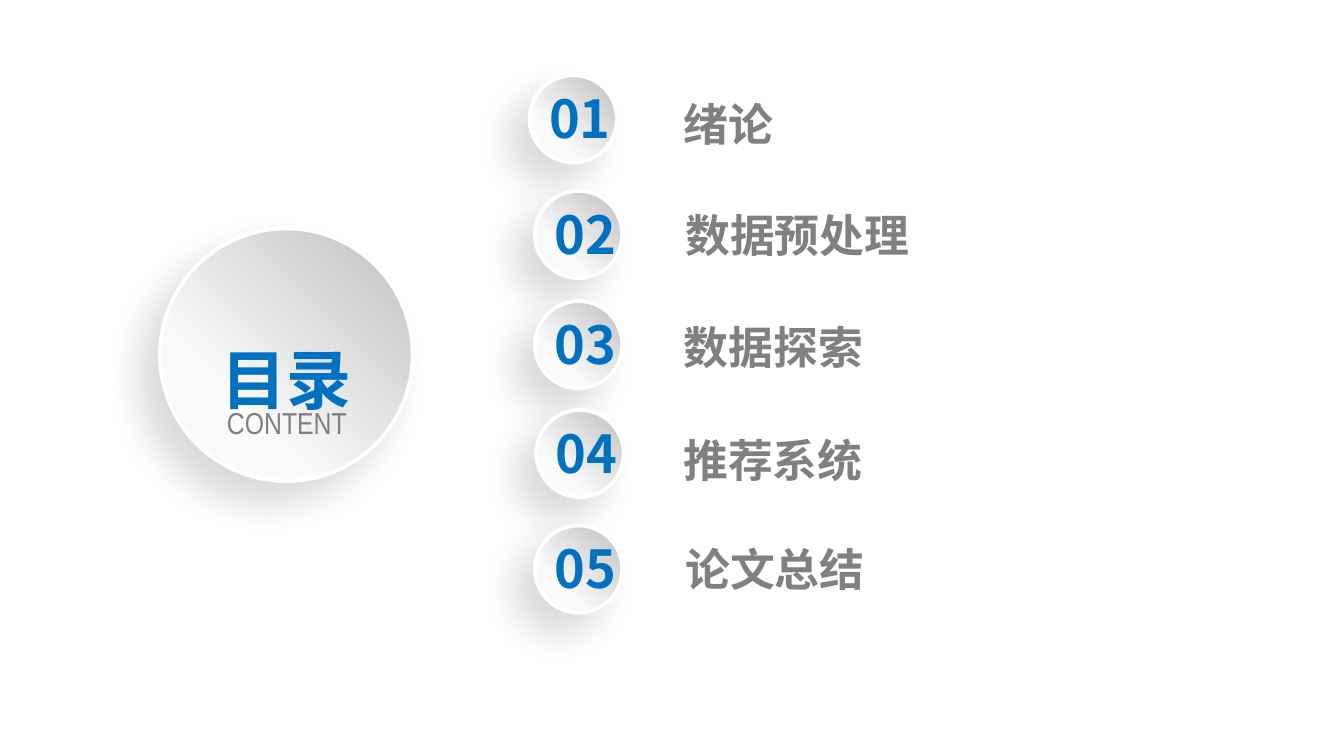
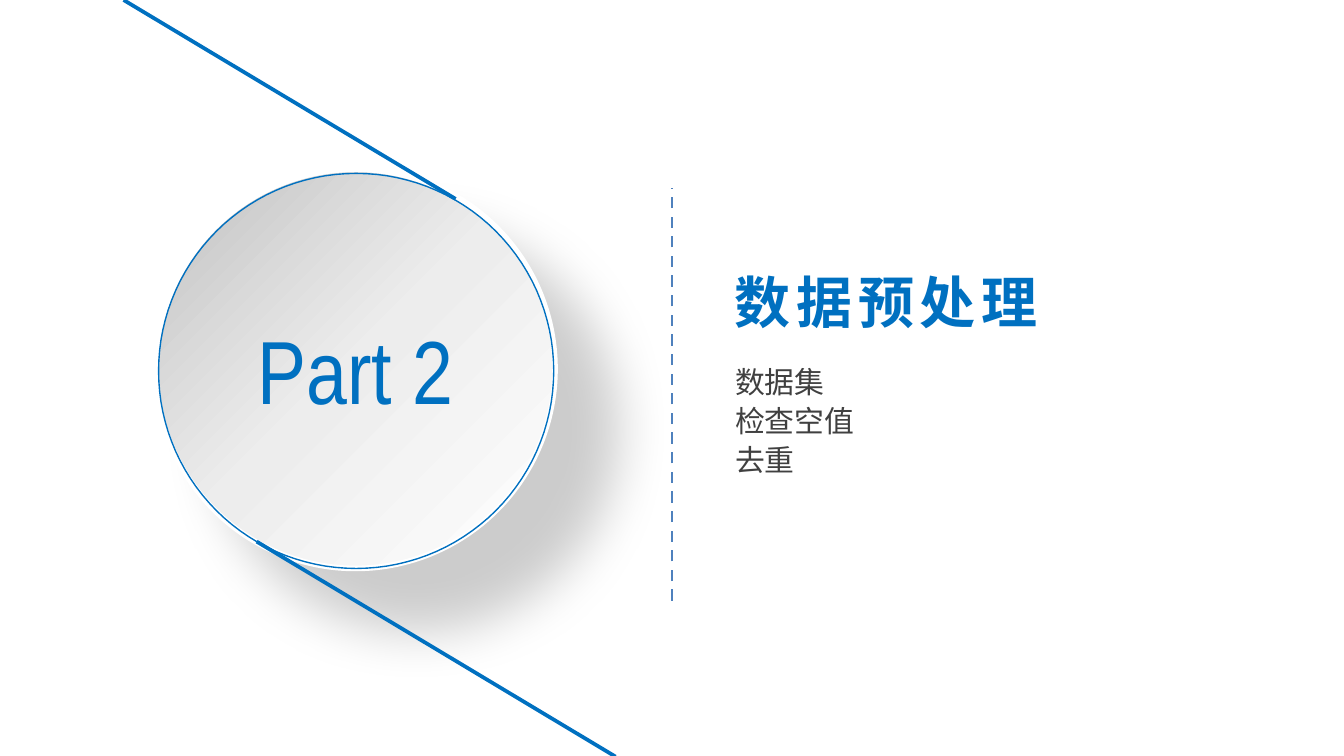
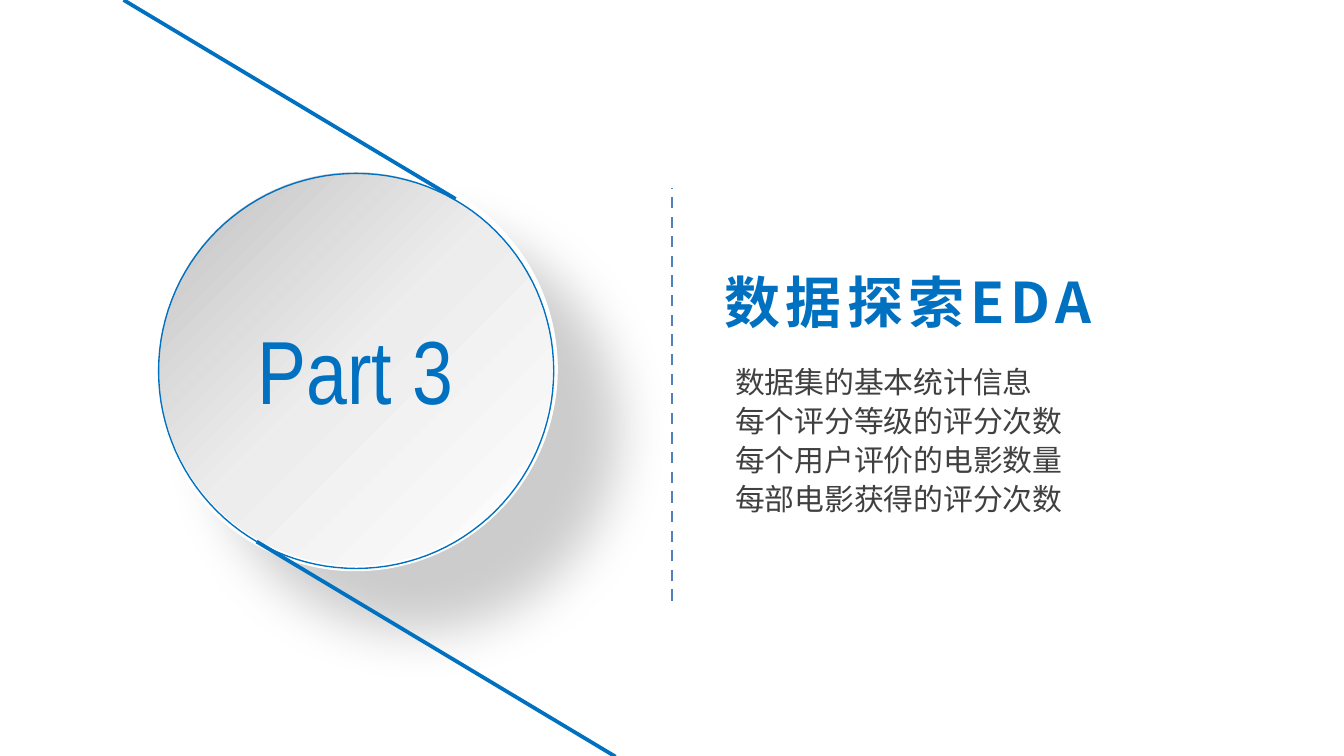
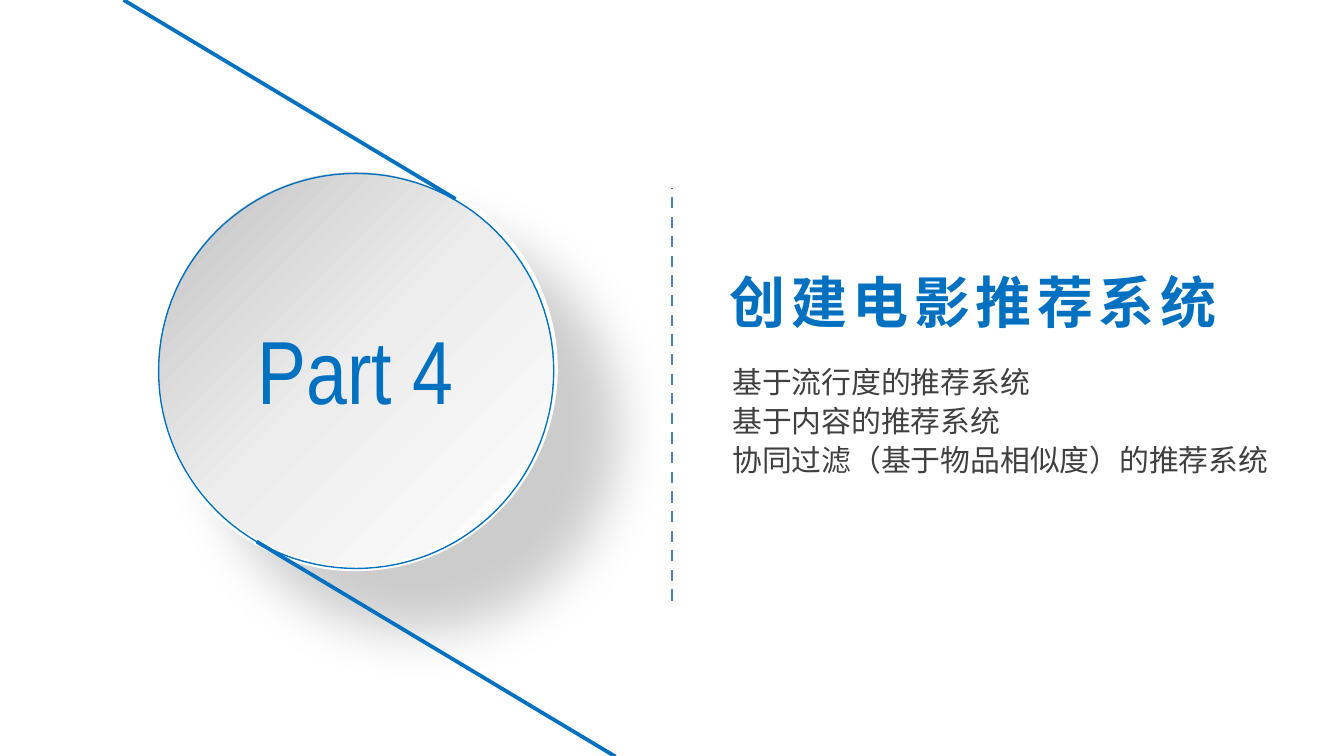
from math import cos, radians, sin

from lxml import etree
from pptx import Presentation
from pptx.dml.color import RGBColor
from pptx.enum.dml import MSO_LINE
from pptx.enum.shapes import MSO_CONNECTOR, MSO_SHAPE
from pptx.enum.text import MSO_ANCHOR, MSO_AUTO_SIZE, PP_ALIGN
from pptx.oxml.ns import qn
from pptx.util import Inches, Pt

OVAL = MSO_SHAPE.OVAL
STRAIGHT = MSO_CONNECTOR.STRAIGHT
DASH = MSO_LINE.DASH
CENTER, LEFT = PP_ALIGN.CENTER, PP_ALIGN.LEFT
MIDDLE, TOP = MSO_ANCHOR.MIDDLE, MSO_ANCHOR.TOP
FIT = MSO_AUTO_SIZE.SHAPE_TO_FIT_TEXT

# Content: number, badge left and top, title, title box
TOPICS = [
    ("01", 3.94, 0.56, "绪论", (4.99, 0.67, 0.88, 0.5)),
    ("02", 3.98, 1.42, "数据预处理", (5, 1.5, 1.88, 0.5)),
    ("03", 3.98, 2.24, "数据探索", (4.99, 2.33, 1.55, 0.5)),
    ("04", 3.99, 3.05, " 推荐系统", (4.91, 3.17, 1.65, 0.5)),
    ("05", 3.98, 3.91, "论文总结", (5, 3.98, 1.55, 0.5)),
]
PARTS = [
    {"label": "Part 2", "title": "数据预处理", "title_x": 5.37, "title_w": 2.52,
     "item_x": 5.47, "item_w": 2.05,
     "items": ["数据集", "检查空值", "去重"]},
    {"label": "Part 3", "title": "数据探索EDA", "title_x": 5.29, "title_w": 3.06,
     "item_x": 5.47, "item_w": 2.62,
     "items": ["数据集的基本统计信息", "每个评分等级的评分次数",
               "每个用户评价的电影数量", "每部电影获得的评分次数"]},
    {"label": "Part 4", "title": "创建电影推荐系统", "title_x": 5.33, "title_w": 3.9,
     "item_x": 5.45, "item_w": 4.08,
     "items": ["基于流行度的推荐系统", "基于内容的推荐系统",
               "协同过滤（基于物品相似度）的推荐系统"]},
]

# Shared style
COLORS = {"blue": "0070C0", "grey": "808080", "dark": "404040", "white": "FFFFFF",
          "black": "000000", "divider": "4F81BD", "shade": "BFBFBF",
          "pale": "FAFAFA", "silver": "C0C0C0", "mist": "EDEDED"}
SANS, NARROW = "Noto Sans CJK SC", "Arial Narrow"
BUTTON_STOPS = [(0, "white"), (0, "shade"), (70, "pale")]
DISC_STOPS = [(0, "silver"), (49, "mist"), (100, "white")]
RIM_STOPS = [(0, "white"), (100, "silver")]
RING_CENTER, RING_RADIUS = (2.65, 2.76), 1.47
ITEM_TOP, ITEM_STEP = 2.71, 0.29


def rgb(name):
    return RGBColor.from_string(COLORS[name])


def box(*lengths):
    return [Inches(v) for v in lengths]


def set_gradient(fill, parent, stops, angle):
    fill.gradient()
    grad = parent.find(qn("a:gradFill"))
    for child in list(grad):
        grad.remove(child)
    gs_lst = etree.SubElement(grad, qn("a:gsLst"))
    for pos, color in stops:
        gs = etree.SubElement(gs_lst, qn("a:gs"), pos=str(pos * 1000))
        etree.SubElement(gs, qn("a:srgbClr"), val=COLORS[color])
    etree.SubElement(grad, qn("a:lin"), ang=str(angle * 60000), scaled="0")


def add_shadow(sp, opacity, blur, dist, angle):
    sp.shadow.inherit = False
    effects = sp.element.spPr.find(qn("a:effectLst"))
    outer = etree.SubElement(effects, qn("a:outerShdw"), blurRad=str(int(Pt(blur))),
                             dist=str(int(Pt(dist))), dir=str(angle * 60000),
                             algn="ctr", rotWithShape="0")
    clr = etree.SubElement(outer, qn("a:srgbClr"), val=COLORS["black"])
    etree.SubElement(clr, qn("a:alpha"), val=str(opacity * 1000))


def write(tf, text, size, color, font=SANS, bold=False, align=LEFT, spacing=None,
          baseline=None, tracking=None):
    p = tf.paragraphs[0]
    p.alignment = align
    if spacing:
        p.line_spacing = spacing
    r = p.add_run()
    r.text = text
    r.font.size, r.font.bold, r.font.name = Pt(size), bold, font
    r.font.color.rgb = rgb(color)
    r_pr = r._r.get_or_add_rPr()
    ea = etree.Element(qn("a:ea"), typeface=font)
    r_pr.find(qn("a:latin")).addnext(ea)
    if baseline:
        r_pr.set("baseline", str(baseline * 1000))
    if tracking:
        r_pr.set("spc", str(tracking * 100))


def add_text(shapes, at, text, size, color, anchor=TOP, wrap=False, inset=None, **style):
    tf = shapes.add_textbox(*box(*at)).text_frame
    tf.word_wrap, tf.auto_size, tf.vertical_anchor = wrap, FIT, anchor
    if inset is not None:
        tf.margin_left = tf.margin_right = tf.margin_top = tf.margin_bottom = Inches(inset)
    write(tf, text, size, color, **style)


def add_button(shapes, x, y, size):
    sp = shapes.add_shape(OVAL, *box(x, y, size, size))
    set_gradient(sp.fill, sp.element.spPr, BUTTON_STOPS, 135)
    sp.line.color.rgb, sp.line.width = rgb("white"), Pt(2)
    add_shadow(sp, 15, 20, 15, 135)


def add_line(shapes, start, end, color, width=0, dash=None):
    line = shapes.add_connector(STRAIGHT, *box(*start, *end))
    line.line.color.rgb, line.line.width = rgb(color), Pt(width)
    if dash:
        line.line.dash_style = dash
    etree.SubElement(line.element.spPr, qn("a:effectLst"))


def ring_point(degrees):
    cx, cy = RING_CENTER
    a = radians(degrees)
    return Inches(cx + RING_RADIUS * cos(a)), Inches(cy + RING_RADIUS * sin(a))


def add_half_ring(shapes, start):
    points = [ring_point(start + d) for d in range(0, 181, 3)]
    outline = shapes.build_freeform(*points[0])
    outline.add_line_segments(points[1:], close=False)
    sp = outline.convert_to_shape()
    sp.fill.background()
    sp.line.color.rgb, sp.line.width = rgb("blue"), Pt(0)
    sp.shadow.inherit = False


def add_contents(slide):
    shapes = slide.shapes
    add_button(shapes, 1.19, 1.7, 1.88)
    heading = shapes.add_group_shape().shapes
    add_text(heading, (1.47, 2.03, 1.32, 0.99), "目录", 60, "blue", anchor=MIDDLE,
             bold=True, align=CENTER, spacing=1.5, baseline=12)
    add_text(heading, (1.57, 2.75, 1.13, 0.51), "CONTENT", 28, "grey", anchor=MIDDLE,
             font=NARROW, align=CENTER, spacing=1.5, baseline=12)
    for number, x, y, title, title_box in TOPICS:
        badge = shapes.add_group_shape().shapes
        add_button(badge, x, y, 0.65)
        add_text(badge, (x + 0.03, y + 0.03, 0.69, 0.57), number, 28, "blue",
                 anchor=MIDDLE, bold=True, align=CENTER)
        add_text(shapes, title_box, title, 24, "grey", bold=True)


def add_part(slide, part):
    shapes = slide.shapes
    # Disc with the part label
    disc = shapes.add_shape(OVAL, *box(1.16, 1.26, 2.97, 2.97))
    set_gradient(disc.fill, disc.element.spPr, DISC_STOPS, 45)
    disc.line.width = Pt(3)
    set_gradient(disc.line.fill, disc.element.spPr.find(qn("a:ln")), RIM_STOPS, 45)
    add_shadow(disc, 20, 29, 46, 45)
    tf = disc.text_frame
    tf.margin_left = tf.margin_right = 0
    tf.margin_top = tf.margin_bottom = Inches(0.04)
    tf.vertical_anchor = MIDDLE
    write(tf, part["label"], 48, "blue", font=NARROW, align=CENTER)

    # Thin ring, its two tangents and the divider
    for start in (-60, 120):
        add_half_ring(shapes, start)
    add_line(shapes, (3.39, 1.48), (0.92, 0), "blue")
    add_line(shapes, (4.58, 5.63), (1.91, 4.03), "blue")
    add_line(shapes, (5, 4.47), (5, 1.4), "divider", 1.5, DASH)

    # Title and items
    add_text(shapes, (part["title_x"], 1.94, part["title_w"], 0.61), part["title"],
             30, "blue", bold=True, tracking=3)
    for i, item in enumerate(part["items"]):
        add_text(shapes, (part["item_x"], ITEM_TOP + i * ITEM_STEP, part["item_w"], 0.27),
                 item, 16, "dark", wrap=True, inset=0)


def main():
    prs = Presentation()
    prs.slide_width = Inches(10)
    prs.slide_height = prs.slide_width * 9 // 16
    blank = prs.slide_layouts[6]
    add_contents(prs.slides.add_slide(blank))
    for part in PARTS:
        add_part(prs.slides.add_slide(blank), part)
    prs.save("out.pptx")


if __name__ == "__main__":
    main()
